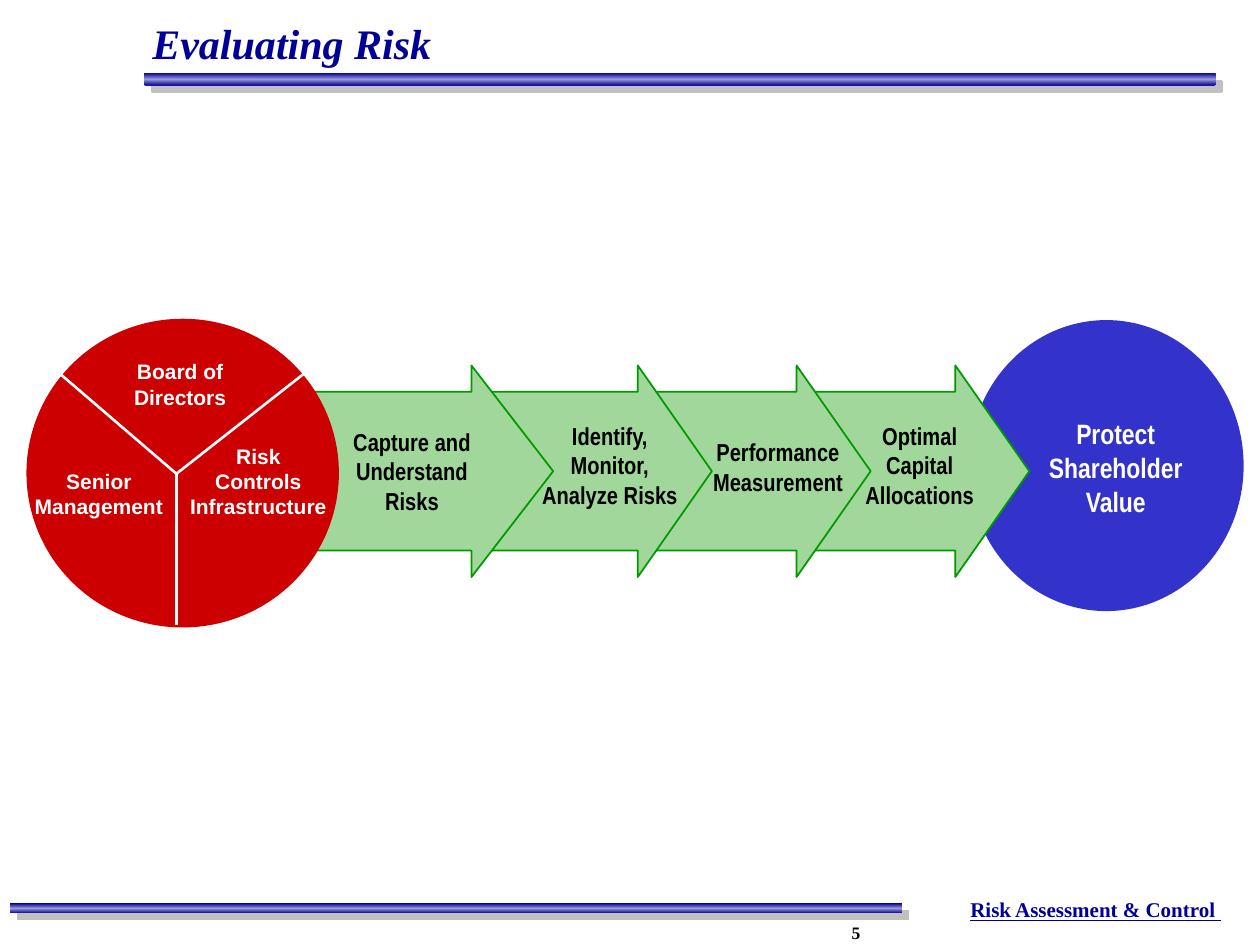
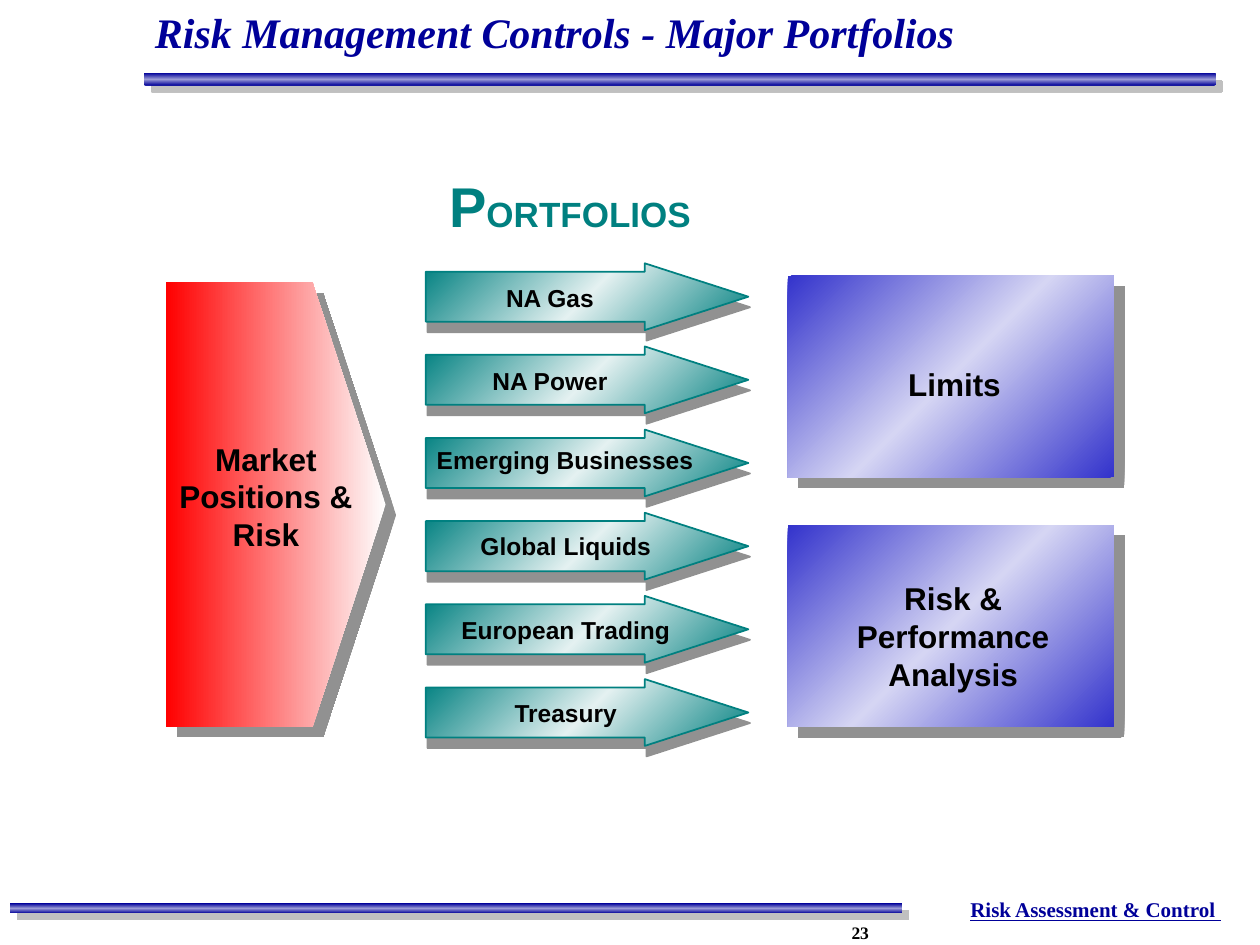
from pptx import Presentation
from pptx.dml.color import RGBColor
from pptx.enum.shapes import MSO_CONNECTOR, MSO_SHAPE
from pptx.enum.text import MSO_ANCHOR, PP_ALIGN
from pptx.oxml import parse_xml
from pptx.oxml.ns import nsdecls, qn
from pptx.util import Inches, Pt

LEFT, CENTER = PP_ALIGN.LEFT, PP_ALIGN.CENTER
TOP, MIDDLE, BOTTOM = MSO_ANCHOR.TOP, MSO_ANCHOR.MIDDLE, MSO_ANCHOR.BOTTOM
RECT, ROUND_RECT = MSO_SHAPE.RECTANGLE, MSO_SHAPE.ROUNDED_RECTANGLE
ELLIPSE, ARROW = MSO_SHAPE.OVAL, MSO_SHAPE.RIGHT_ARROW
STRAIGHT = MSO_CONNECTOR.STRAIGHT

SERIF, SANS, NARROW = "Times New Roman", "Arial", "Arial Narrow"
BLACK, WHITE = "000000", "FFFFFF"
NAVY, BLUE, RED, TEAL = "000099", "3333CC", "CC0000", "008080"
GREEN, GREEN_EDGE = "A1D79B", "009900"

# Gradients: colours at even stops, then the angle
BAND_GRADIENT = ((NAVY, "9A9AD6", NAVY), 90)
TEAL_GRADIENT = ((TEAL, "E4F1F1", TEAL), 225)
BLUE_GRADIENT = ((BLUE, "D5D5F3", BLUE), 225)
RED_GRADIENT = (("FEFEFE", "FF0000"), 180)

# Shadows: colour, distance in points, angle
BAND_SHADOW = ("C0C0C0", 5.7, 45)
PANEL_SHADOW = ("919191", 8.5, 45)
ARROW_SHADOW = ("919191", 6.1, 81)


def rgb(color):
    return RGBColor.from_string(color)


def inches(*lengths):
    return [Inches(length) for length in lengths]


def style(shape, fill, edge=None, shadow=None):
    """Set a solid or gradient fill, an outline and a shadow."""
    properties = shape._element.spPr
    if isinstance(fill, str):
        shape.fill.solid()
        shape.fill.fore_color.rgb = rgb(fill)
    else:
        colors, angle = fill
        last = len(colors) - 1
        stops = "".join(
            f'<a:gs pos="{100000 * i // last}"><a:srgbClr val="{color}"/></a:gs>'
            for i, color in enumerate(colors))
        properties.insert(2, parse_xml(
            f'<a:gradFill {nsdecls("a")} rotWithShape="1"><a:gsLst>{stops}</a:gsLst>'
            f'<a:lin ang="{angle * 60000}" scaled="0"/></a:gradFill>'))
    if edge:
        shape.line.color.rgb = rgb(edge)
        shape.line.width = Pt(1)
    else:
        shape.line.fill.background()
    shape.shadow.inherit = False
    if shadow:
        color, distance, angle = shadow
        properties.find(qn("a:effectLst")).append(parse_xml(
            f'<a:outerShdw {nsdecls("a")} dist="{Pt(distance)}" dir="{angle * 60000}" '
            f'algn="ctr" rotWithShape="0"><a:srgbClr val="{color}"/></a:outerShdw>'))


def add_block(shapes, kind, box, fill, edge=None, shadow=None, adjustments=()):
    block = shapes.add_shape(kind, *inches(*box))
    for i, value in enumerate(adjustments):
        block.adjustments[i] = value
    style(block, fill, edge, shadow)


def add_text(slide, text, box, size=14, font=SANS, color=BLACK, align=CENTER,
             anchor=TOP, italic=False, underline=False, inset=0.1, spacing=1.0):
    """Add bold text; a line is a string or a list of (text, size) runs."""
    frame = slide.shapes.add_textbox(*inches(*box)).text_frame
    frame.word_wrap = True
    frame.vertical_anchor = anchor
    frame.margin_left = frame.margin_right = Inches(inset)
    frame.margin_top = frame.margin_bottom = Inches(0.05)
    lines = text.split("\n") if isinstance(text, str) else [text]
    for i, line in enumerate(lines):
        paragraph = frame.paragraphs[0] if i == 0 else frame.add_paragraph()
        paragraph.alignment = align
        paragraph.line_spacing = spacing
        for words, points in [(line, size)] if isinstance(line, str) else line:
            run = paragraph.add_run()
            run.text = words
            run.font.size = Pt(points)
            run.font.name = font
            run.font.bold = True
            run.font.italic = italic
            run.font.underline = underline
            run.font.color.rgb = rgb(color)


def add_frame(prs, title, title_left, title_top, number):
    """New slide with its title, bands and footer."""
    slide = prs.slides.add_slide(prs.slide_layouts[6])
    add_text(slide, "Risk Assessment & Control ", (7.5, 7.07, 2.39, 0.3), size=12,
             font=SERIF, color=NAVY, underline=True)
    add_text(slide, number, (6.66, 7.27, 0.82, 0.26), size=10, font=SERIF, align=LEFT)
    add_block(slide.shapes, RECT, (0.08, 7.17, 7.08, 0.08), BAND_GRADIENT,
              shadow=BAND_SHADOW)
    add_block(slide.shapes, ROUND_RECT, (1.14, 0.58, 8.51, 0.1), BAND_GRADIENT,
              shadow=BAND_SHADOW, adjustments=[0.167])
    add_text(slide, title, (title_left, title_top, 8.53, 0.42), size=24, font=SERIF,
             color=NAVY, align=LEFT, anchor=BOTTOM, italic=True, inset=0.05,
             spacing=0.85)
    return slide


def add_process(slide, left, top):
    """Overlapping arrows, the last step at the back, then their labels."""
    height, step, first_tip = 1.68, 1.26, 2.03
    labels = [  # text, left, top, width
        ("Capture and Understand\nRisks", 0.33, 0.44, 1.16),
        ("Identify, Monitor, Analyze Risks", 1.84, 0.39, 1.28),
        ("Performance Measurement", 3.2, 0.52, 1.23),
        ("Optimal Capital Allocations", 4.36, 0.39, 1.16),
    ]
    for i in reversed(range(len(labels))):
        width, head = (1.84, 0.35) if i else (2.02, 0.386)
        arrow_left = left + first_tip + i * step - width
        add_block(slide.shapes, ARROW, (arrow_left, top, width, height), GREEN,
                  edge=GREEN_EDGE, adjustments=[0.75, head])
    for text, dx, dy, width in labels:
        add_text(slide, text, (left + dx, top + dy, width, 0.8), font=NARROW)


def add_governance(slide, left, top):
    """Circle cut in three by spokes, with a label in each part."""
    circle = slide.shapes.add_group_shape().shapes
    add_block(circle, ELLIPSE, (left, top, 2.48, 2.45), RED)
    hub_x, hub_y = left + 1.19, top + 1.23
    for rim_x, rim_y in [(0.27, 0.44), (2.21, 0.43), (1.19, 2.43)]:
        spoke = circle.add_connector(
            STRAIGHT, *inches(hub_x, hub_y, left + rim_x, top + rim_y))
        spoke.line.color.rgb = rgb(WHITE)
        spoke.line.width = Pt(1.5)
        spoke._element.spPr.append(parse_xml(f'<a:effectLst {nsdecls("a")}/>'))
    for text, dx, dy, width, height in [
            ("Risk\nControls Infrastructure", 1.13, 0.94, 1.42, 0.7),
            ("Board of Directors", 0.69, 0.27, 1.06, 0.5),
            ("Senior Management", -0.14, 1.14, 1.43, 0.5)]:
        add_text(slide, text, (left + dx, top + dy, width, height), size=12, color=WHITE)


def add_goal(slide, left, top):
    add_block(slide.shapes, ELLIPSE, (left, top, 2.18, 2.31), BLUE)
    add_text(slide, "Protect Shareholder Value", (left + 0.45, top + 0.72, 1.43, 0.9),
             size=16, font=NARROW, color=WHITE)


def add_market(slide, left, top, width, height):
    """Pentagon pointing right."""
    shoulder = left + width * 2 / 3
    corners = [(shoulder, top), (left + width, top + height / 2),
               (shoulder, top + height), (left, top + height)]
    outline = slide.shapes.build_freeform(*inches(left, top), scale=1.0)
    outline.add_line_segments([inches(*corner) for corner in corners], close=True)
    style(outline.convert_to_shape(), RED_GRADIENT, shadow=PANEL_SHADOW)
    add_text(slide, "Market Positions & Risk", (left, top + 1.2, 1.58, 1), size=18)


def add_portfolios(slide, left, top):
    """Heading over a column of equally spaced arrows."""
    add_text(slide, [("P", 32), ("ORTFOLIOS", 20)], (left - 0.02, top - 0.78, 2.33, 0.64),
             color=TEAL)
    portfolios = [  # name, label left, label top, label width
        ("NA Gas", 0.1, 0.11, 1.77),
        ("NA Power", 0.1, 0.11, 1.77),
        ("Emerging Businesses", -0.06, 0.07, 2.33),
        ("Global Liquids", 0.1, 0.1, 2.02),
        ("European Trading", 0.1, 0.1, 2.02),
        ("Treasury", 0.1, 0.1, 2.02),
    ]
    for i, (name, dx, dy, width) in enumerate(portfolios):
        row_top = top + i * 0.66
        add_block(slide.shapes, ARROW, (left, row_top, 2.56, 0.53), TEAL_GRADIENT,
                  edge=TEAL, shadow=ARROW_SHADOW, adjustments=[0.75, 1.55])
        add_text(slide, name, (left + dx, row_top + dy, width, 0.33), anchor=MIDDLE)


def add_controls(slide, left, top):
    """Two stacked panels."""
    for i, (text, dx, dy, width, height) in enumerate([
            ("Limits", 0.53, 0.66, 1.59, 0.4),
            ("Risk & Performance Analysis", 0.3, 0.38, 2.03, 1)]):
        panel_top = top + i * 1.98
        add_block(slide.shapes, RECT, (left, panel_top, 2.59, 1.6), BLUE_GRADIENT,
                  shadow=PANEL_SHADOW)
        add_text(slide, text, (left + dx, panel_top + dy, width, height), size=18)


def main():
    prs = Presentation()
    prs.slide_width, prs.slide_height = inches(10, 7.5)

    evaluating = add_frame(prs, "Evaluating Risk", 1.16, 0.17, "5")
    add_goal(evaluating, 7.69, 2.54)
    add_process(evaluating, 2.36, 2.9)
    add_governance(evaluating, 0.21, 2.53)

    controls = add_frame(prs, "Risk Management Controls - Major Portfolios",
                         1.18, 0.08, "23")
    add_market(controls, 1.32, 2.24, 1.74, 3.53)
    add_portfolios(controls, 3.38, 2.09)
    add_controls(controls, 6.25, 2.19)

    prs.save("out.pptx")


if __name__ == "__main__":
    main()
